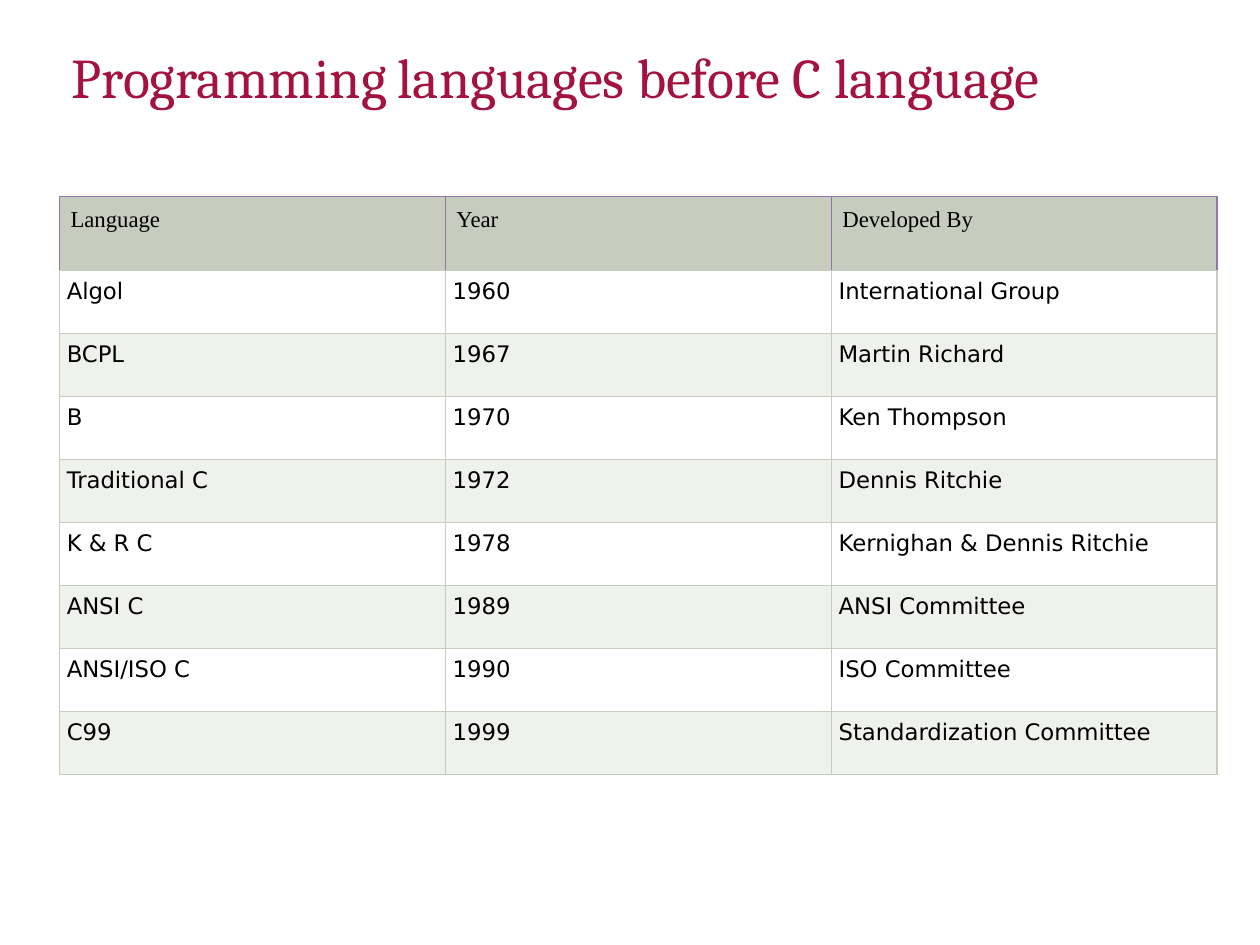
from lxml import etree
from pptx import Presentation
from pptx.dml.color import RGBColor
from pptx.enum.text import MSO_ANCHOR, MSO_AUTO_SIZE, PP_ALIGN
from pptx.oxml.ns import qn
from pptx.util import Inches, Pt

MIDDLE = MSO_ANCHOR.MIDDLE
FIXED = MSO_AUTO_SIZE.NONE
LEFT = PP_ALIGN.LEFT

RED, BLACK, WHITE = "A4123F", "000000", "FFFFFF"
SAGE, PALE, PURPLE = "C7CCBE", "EFF1EB", "9076AF"

ROWS = [
    ("Language", "Year", "Developed By"),
    ("Algol", "1960", "International Group"),
    ("BCPL", "1967", "Martin Richard"),
    ("B", "1970", "Ken Thompson"),
    ("Traditional C", "1972", "Dennis Ritchie"),
    ("K & R C", "1978", "Kernighan & Dennis Ritchie"),
    ("ANSI C", "1989", "ANSI Committee"),
    ("ANSI/ISO C", "1990", "ISO Committee"),
    ("C99", "1999", "Standardization Committee"),
]


def style(font, name, size, color):
    font.name = name
    font.size = Pt(size)
    font.color.rgb = RGBColor.from_string(color)


def edge(cell, colors):
    """Draw the left, right, top and bottom borders of a cell."""
    props = cell._tc.get_or_add_tcPr()
    for i, (side, color) in enumerate(zip("LRTB", colors)):
        line = etree.Element(qn(f"a:ln{side}"), w=str(Pt(0.75)))
        fill = etree.SubElement(line, qn("a:solidFill"))
        etree.SubElement(fill, qn("a:srgbClr"), val=color)
        props.insert(i, line)


deck = Presentation()
deck.slide_width, deck.slide_height = Inches(10), Inches(7.5)
slide = deck.slides.add_slide(deck.slide_layouts[5])

title = slide.shapes.title
title.left, title.top = Inches(0.47), Inches(0.38)
title.width, title.height = Inches(9.19), Inches(0.51)
frame = title.text_frame
frame.auto_size = FIXED
frame.vertical_anchor = MIDDLE
head = frame.paragraphs[0]
head.alignment = LEFT
head.line_spacing = 0.9
for text, name, size, color in [
    ("Programming", "Cambria", 32, RED),
    (" ", "Times New Roman", 24, BLACK),
    ("languages before C language", "Cambria", 32, RED),
]:
    run = head.add_run()
    run.text = text
    style(run.font, name, size, color)

table = slide.shapes.add_table(
    len(ROWS), 3, Inches(0.47), Inches(1.56), Inches(9.19), Inches(4.59)
).table
for r, row in enumerate(ROWS):
    table.rows[r].height = Inches(0.5 if r else 0.59)
    if r == 0:
        face, pad, fill = "Times New Roman", 0.09, SAGE
        edges = [PURPLE, PURPLE, PURPLE, SAGE]
    else:
        face, pad, fill = "DejaVu Sans", 0.06, WHITE if r % 2 else PALE
        edges = [SAGE] * 4
    for c, text in enumerate(row):
        cell = table.cell(r, c)
        cell.text = text
        cell.margin_left = cell.margin_right = Inches(pad)
        cell.margin_top = cell.margin_bottom = Inches(pad)
        cell.fill.solid()
        cell.fill.fore_color.rgb = RGBColor.from_string(fill)
        edge(cell, edges)
        style(cell.text_frame.paragraphs[0].font, face, 13, BLACK)

deck.save("out.pptx")
